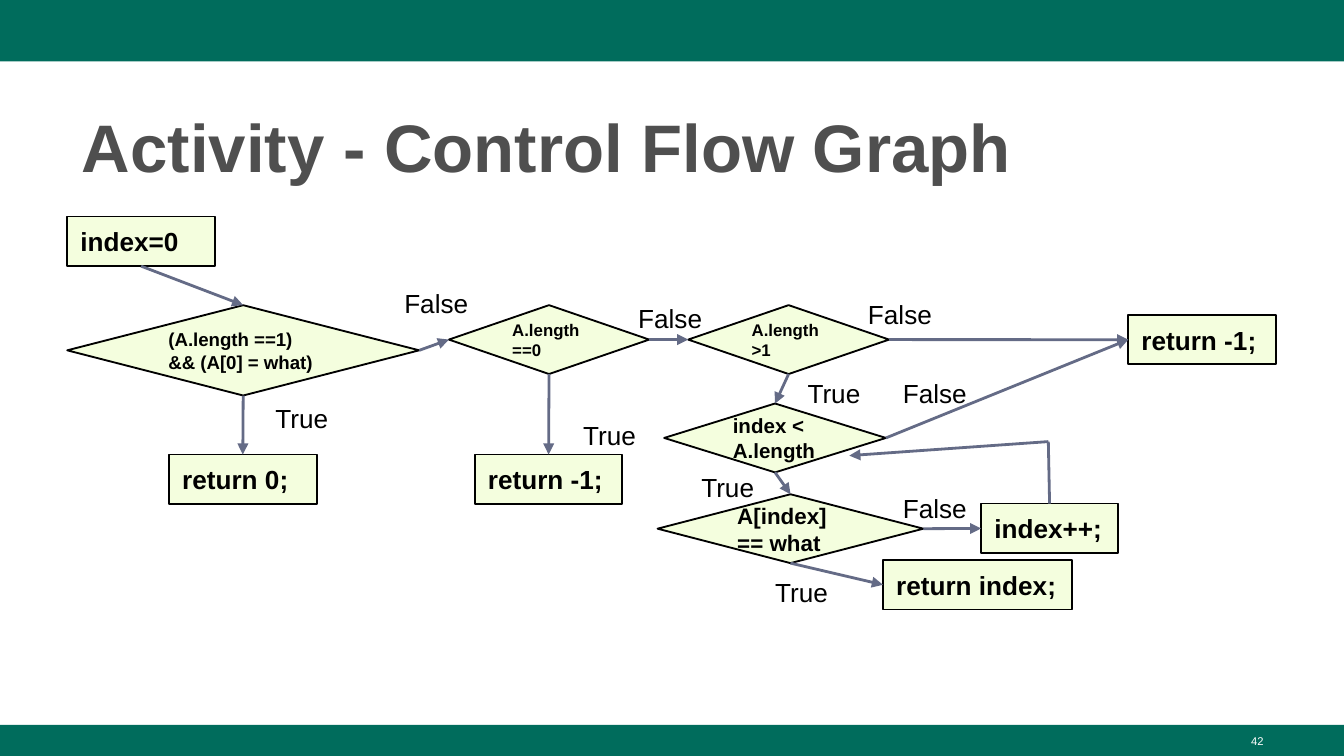
from dataclasses import dataclass

from lxml.etree import SubElement
from pptx import Presentation
from pptx.dml.color import RGBColor
from pptx.enum.shapes import MSO_CONNECTOR, MSO_SHAPE
from pptx.enum.text import MSO_ANCHOR, PP_ALIGN
from pptx.oxml.ns import qn
from pptx.util import Pt


@dataclass(frozen=True)
class Theme:
    """Colours, font and type sizes of the slide."""
    font: str = "Arial"
    band: str = "006C5C"
    title: str = "4F4F4F"
    node: str = "F4FEDE"
    ink: str = "000000"
    arrow: str = "646B86"
    light: str = "FFFFFF"
    title_size: float = 36
    body_size: float = 14
    number_size: float = 6


THEME = Theme()
TOP, LEFT, BOTTOM, RIGHT = range(4)


def write(frame, text, size=THEME.body_size, color=THEME.ink, bold=False,
          align=PP_ALIGN.LEFT, anchor=MSO_ANCHOR.TOP, inset=3.6, bottom=None, spacing=None):
    """Fill a text frame with one formatted paragraph."""
    frame.word_wrap = True
    frame.vertical_anchor = anchor
    frame.margin_left = frame.margin_right = Pt(7.2)
    frame.margin_top = Pt(inset)
    frame.margin_bottom = Pt(inset if bottom is None else bottom)
    para = frame.paragraphs[0]
    para.alignment = align
    if spacing:
        para.line_spacing = spacing
    span = para.add_run()
    span.text = text
    span.font.name = THEME.font
    span.font.size = Pt(size)
    span.font.bold = bold
    span.font.color.rgb = RGBColor.from_string(color)


class FlowPage:
    """Draws flow graph elements on the current slide."""

    def __init__(self, deck, theme):
        """Add a title-only slide to the deck."""
        self.theme = theme
        self.page = deck.slides.add_slide(deck.slide_layouts[5])
        self.shapes = self.page.shapes

    def title(self, text, left, top, width, height):
        """Place and format the title placeholder."""
        box = self.shapes.title
        box.left, box.top, box.width, box.height = map(Pt, (left, top, width, height))
        write(box.text_frame, text, size=self.theme.title_size, color=self.theme.title,
              bold=True, anchor=MSO_ANCHOR.BOTTOM, bottom=1, spacing=1.08)

    def shape(self, kind, left, top, width, height, fill):
        """Add a flat filled shape without outline."""
        box = self.shapes.add_shape(kind, *map(Pt, (left, top, width, height)))
        box.shadow.inherit = False
        box.fill.solid()
        box.fill.fore_color.rgb = RGBColor.from_string(fill)
        box.line.fill.background()
        return box

    def band(self, top, height):
        """Add a full-width colour band."""
        self.shape(MSO_SHAPE.RECTANGLE, 0, top, 720, height, self.theme.band)

    def node(self, kind, text, left, top, width, height, size):
        """Add an outlined graph node with bold text."""
        box = self.shape(kind, left, top, width, height, self.theme.node)
        box.line.color.rgb = RGBColor.from_string(self.theme.ink)
        box.line.width = Pt(1)
        write(box.text_frame, text, size=size, bold=True, anchor=MSO_ANCHOR.MIDDLE)
        return box

    def step(self, text, left, top, width=79.2):
        """Add a rectangular statement node."""
        return self.node(MSO_SHAPE.RECTANGLE, text, left, top, width, 26.6,
                         self.theme.body_size)

    def decision(self, text, left, top, width, size, height=36.9):
        """Add a diamond condition node."""
        return self.node(MSO_SHAPE.DIAMOND, text, left, top, width, height, size)

    def text(self, text, left, top, width, height, **style):
        """Add a text box."""
        box = self.shapes.add_textbox(*map(Pt, (left, top, width, height)))
        write(box.text_frame, text, **style)

    def line(self, start, end, arrow=True):
        """Join two ends, each a (node, site) pair or an (x, y) point."""
        points = [(0, 0) if hasattr(stop[0], "text_frame") else stop for stop in (start, end)]
        link = self.shapes.add_connector(
            MSO_CONNECTOR.STRAIGHT, *(Pt(value) for point in points for value in point))
        for stop, connect in ((start, link.begin_connect), (end, link.end_connect)):
            if hasattr(stop[0], "text_frame"):
                connect(*stop)
        link.line.color.rgb = RGBColor.from_string(self.theme.arrow)
        link.line.width = Pt(1.5)
        if arrow:
            SubElement(link.line._get_or_add_ln(), qn("a:tailEnd"), type="triangle")
        SubElement(link._element.spPr, qn("a:effectLst"))


def build():
    """Build the control flow graph slide and save it."""
    deck = Presentation()
    deck.slide_width, deck.slide_height = Pt(720), Pt(405)
    page = FlowPage(deck, THEME)
    page.band(0, 33)
    page.band(388.3, 16.7)
    page.title("Activity - Control Flow Graph", 36.7, 48.2, 647.3, 52.6)

    start = page.step("index=0", 36, 116)
    single = page.decision("(A.length ==1) && (A[0] = what)", 36, 163.5, 188.6, 10, 48.4)
    return_zero = page.step("return 0;", 90.5, 243.5)
    empty = page.decision("A.length ==0", 240.5, 163.5, 107.3, 9)
    return_empty = page.step("return -1;", 254.3, 243.5)
    several = page.decision("A.length >1", 368.7, 163.5, 107.6, 9)
    return_missing = page.step("return -1;", 604.4, 168.7)
    loop = page.decision("index < A.length", 355.8, 216.2, 118.8, 11)
    match = page.decision("A[index] == what", 352.3, 264.8, 142.4, 12)
    return_index = page.step("return index;", 473, 300, 101.5)
    increment = page.step("index++;", 525.6, 269.8, 73.4)

    for source, source_site, target, target_site in (
        (start, BOTTOM, single, TOP),
        (single, BOTTOM, return_zero, TOP),
        (single, RIGHT, empty, LEFT),
        (empty, BOTTOM, return_empty, TOP),
        (empty, RIGHT, several, LEFT),
        (several, RIGHT, return_missing, LEFT),
        (several, BOTTOM, loop, TOP),
        (loop, RIGHT, return_missing, LEFT),
        (loop, BOTTOM, match, TOP),
        (match, RIGHT, increment, LEFT),
        (match, BOTTOM, return_index, LEFT),
    ):
        page.line((source, source_site), (target, target_site))
    corner = (561.6, 236.6)
    page.line((increment, TOP), corner, arrow=False)
    page.line(corner, (455, 244.1))

    branches = {
        "True": ((140.4, 208.1), (305.3, 217.4), (425.5, 195.1), (368.6, 245.5), (408.2, 301.7)),
        "False": ((209.5, 146.9), (334.8, 154.8), (457.9, 152.6), (476.6, 195.1), (476.6, 256.3)),
    }
    widths = {"True": 46.8, "False": 67}
    for label, places in branches.items():
        for left, top in places:
            page.text(label, left, top, widths[label], 27.4, inset=7.2)
    page.text("42", 516.2, 388.8, 167.8, 16.2, size=THEME.number_size, color=THEME.light,
              align=PP_ALIGN.RIGHT, anchor=MSO_ANCHOR.MIDDLE)
    deck.save("out.pptx")


build()
